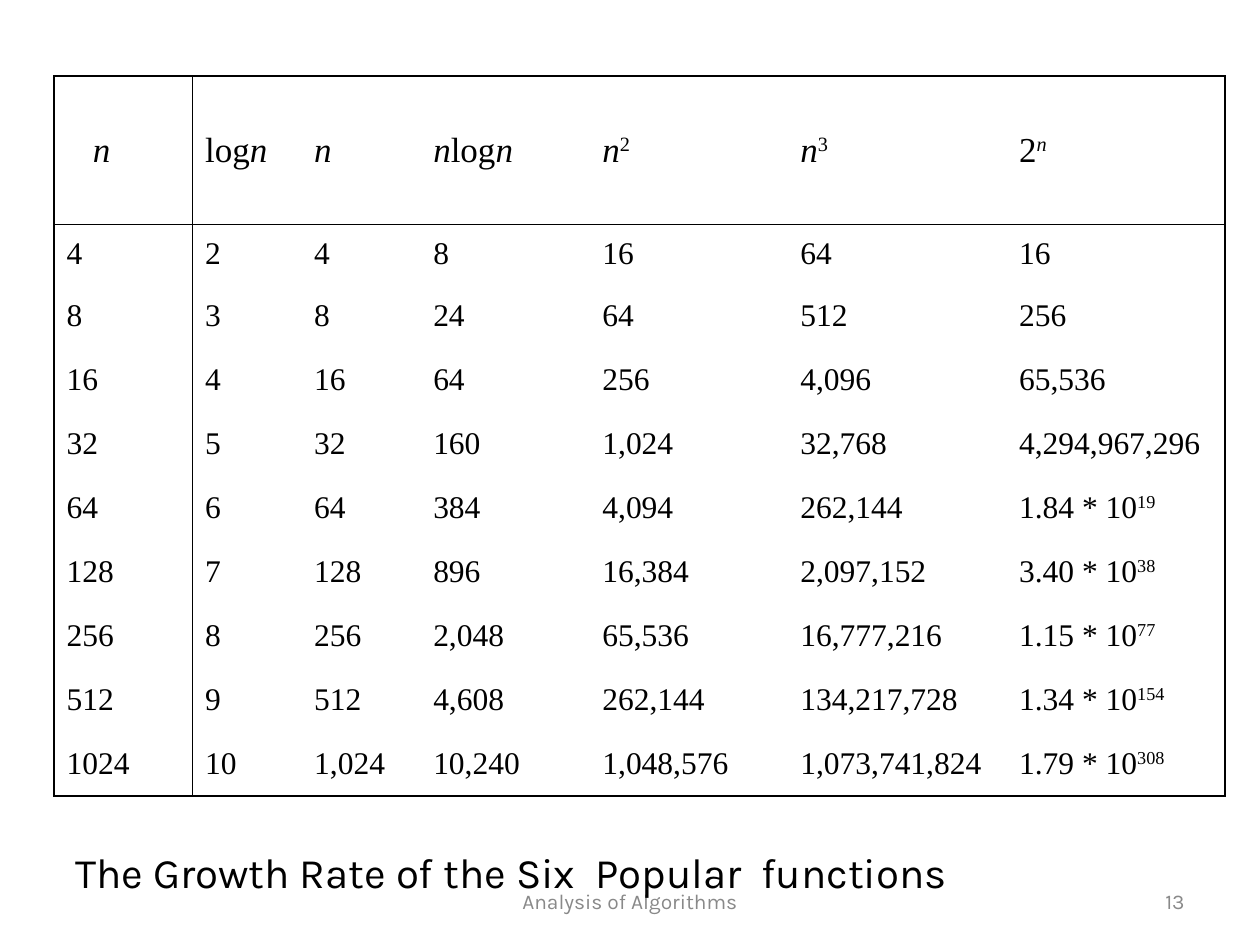
import pptx
import pptx.dml.color
import pptx.enum.text
import pptx.oxml
import pptx.oxml.ns
import pptx.util
from pptx.util import Cm

ALIGN = pptx.enum.text.PP_ALIGN
ANCHOR = pptx.enum.text.MSO_ANCHOR

THEME = {
    "ink": "000000", "muted": "898989",
    "text_font": "Karla", "math_font": "Times New Roman",
    "caption": 24, "header": 20, "body": 18, "footer": 12,
    "frame": 1.08, "divider": 0.45,
}
PLAIN_TABLE_STYLE = "{2D5ABB26-0587-4C30-8999-92F81FD0307C}"

# "|" separates runs, a run that starts with "^" is superscript.
HEADER = ["n", "log|n", "n", "n|log|n", "n|^2", "n|^3", "2|^n"]
GROWTH = [
    ["4", "2", "4", "8", "16", "64", "16"],
    ["8", "3", "8", "24", "64", "512", "256"],
    ["16", "4", "16", "64", "256", "4,096", "65,536"],
    ["32", "5", "32", "160", "1,024", "32,768", "4,294,967,296"],
    ["64", "6", "64", "384", "4,094", "262,144", "1.84 * 10|^19"],
    ["128", "7", "128", "896", "16,384", "2,097,152", "3.40 * 10|^38"],
    ["256", "8", "256", "2,048", "65,536", "16,777,216", "1.15 * 10|^77"],
    ["512", "9", "512", "4,608", "262,144", "134,217,728", "1.34 * 10|^154"],
    ["1024", "10", "1,024", "10,240", "1,048,576", "1,073,741,824", "1.79 * 10|^308"],
]
COLUMN_WIDTHS = [2.79, 2.2, 2.4, 3.41, 3.99, 4.41, 4.4]
ROW_HEIGHTS = [3, 1.19] + [1.29] * (len(GROWTH) - 1)
TABLE_LEFT, TABLE_TOP = 1.09, 1.53
HEADER_INDENT = 0.53

CAPTION = "The Growth Rate of the Six  Popular  functions"
FOOTER = "Analysis of Algorithms"
PAGE_NUMBER = "13"


def write_text(frame, text, *, size, font, color="ink", align=ALIGN.LEFT, before=0):
    """Fill the first paragraph; the variable n is set in italics."""
    para = frame.paragraphs[0]
    para.alignment = align
    para.space_before = pptx.util.Pt(before)
    for part in text.split("|"):
        span = para.add_run()
        span.text = part.lstrip("^")
        span.font.size = pptx.util.Pt(THEME[size])
        span.font.name = THEME[font]
        span.font.color.rgb = pptx.dml.color.RGBColor.from_string(THEME[color])
        span.font.italic = span.text == "n"
        if part.startswith("^"):
            span.font._element.set("baseline", "30000")
    return para


def add_text_box(page, text, place, anchor, **text_format):
    box = page.shapes.add_textbox(*map(Cm, place))
    box.text_frame.word_wrap = True
    box.text_frame.vertical_anchor = anchor
    write_text(box.text_frame, text, **text_format)
    return box


def set_borders(cell, borders):
    """Draw the sides L, R, T and B, each given as a width in points or None."""
    properties = cell._tc.get_or_add_tcPr()
    for side in "LRTB":
        width = borders[side]
        if width is None:
            xml = f'<a:ln{side} {pptx.oxml.ns.nsdecls("a")}><a:noFill/></a:ln{side}>'
        else:
            xml = (f'<a:ln{side} {pptx.oxml.ns.nsdecls("a")} w="{pptx.util.Pt(width)}">'
                   f'<a:solidFill><a:srgbClr val="{THEME["ink"]}"/></a:solidFill>'
                   f'</a:ln{side}>')
        properties.append(pptx.oxml.parse_xml(xml))


def borders_at(row, column, last_row, last_column):
    """Frame around the table, dividers after the first row and first column."""
    def width(at_frame, at_divider):
        if at_frame:
            return THEME["frame"]
        return THEME["divider"] if at_divider else None

    return {
        "L": width(column == 0, column == 1),
        "R": width(column == last_column, column == 0),
        "T": width(row == 0, row == 1),
        "B": width(row == last_row, row == 0),
    }


def add_growth_table(page):
    rows = [HEADER] + GROWTH
    shape = page.shapes.add_table(
        len(rows), len(HEADER), Cm(TABLE_LEFT), Cm(TABLE_TOP),
        Cm(sum(COLUMN_WIDTHS)), Cm(sum(ROW_HEIGHTS)))
    table = shape.table
    table.first_row = table.horz_banding = False
    table._tbl.tblPr.find(pptx.oxml.ns.qn("a:tableStyleId")).text = PLAIN_TABLE_STYLE
    for column, width in zip(table.columns, COLUMN_WIDTHS):
        column.width = Cm(width)
    for row, height in zip(table.rows, ROW_HEIGHTS):
        row.height = Cm(height)
    for r, values in enumerate(rows):
        size = "body" if r else "header"
        for c, value in enumerate(values):
            cell = table.cell(r, c)
            cell.vertical_anchor = ANCHOR.MIDDLE
            para = write_text(cell.text_frame, value, size=size, font="math_font",
                              before=THEME[size] / 4)
            if r == c == 0:
                para._p.get_or_add_pPr().set("marL", str(Cm(HEADER_INDENT)))
            set_borders(cell, borders_at(r, c, len(rows) - 1, len(values) - 1))
            cell.fill.background()


def main():
    deck = pptx.Presentation()
    deck.slide_width, deck.slide_height = Cm(25.4), Cm(19.05)
    page = deck.slides.add_slide(deck.slide_layouts[6])

    footer_format = {"size": "footer", "font": "text_font", "color": "muted"}
    add_text_box(page, FOOTER, (8.68, 17.66, 8.04, 1.01), ANCHOR.MIDDLE,
                 align=ALIGN.CENTER, **footer_format)
    add_text_box(page, PAGE_NUMBER, (18.2, 17.66, 5.93, 1.01), ANCHOR.MIDDLE,
                 align=ALIGN.RIGHT, **footer_format)
    add_growth_table(page)
    caption = add_text_box(page, CAPTION, (1.27, 16.93, 23.28, 1.27), ANCHOR.TOP,
                           size="caption", font="text_font", before=15)
    caption.text_frame.auto_size = pptx.enum.text.MSO_AUTO_SIZE.SHAPE_TO_FIT_TEXT
    deck.save("out.pptx")


if __name__ == "__main__":
    main()
